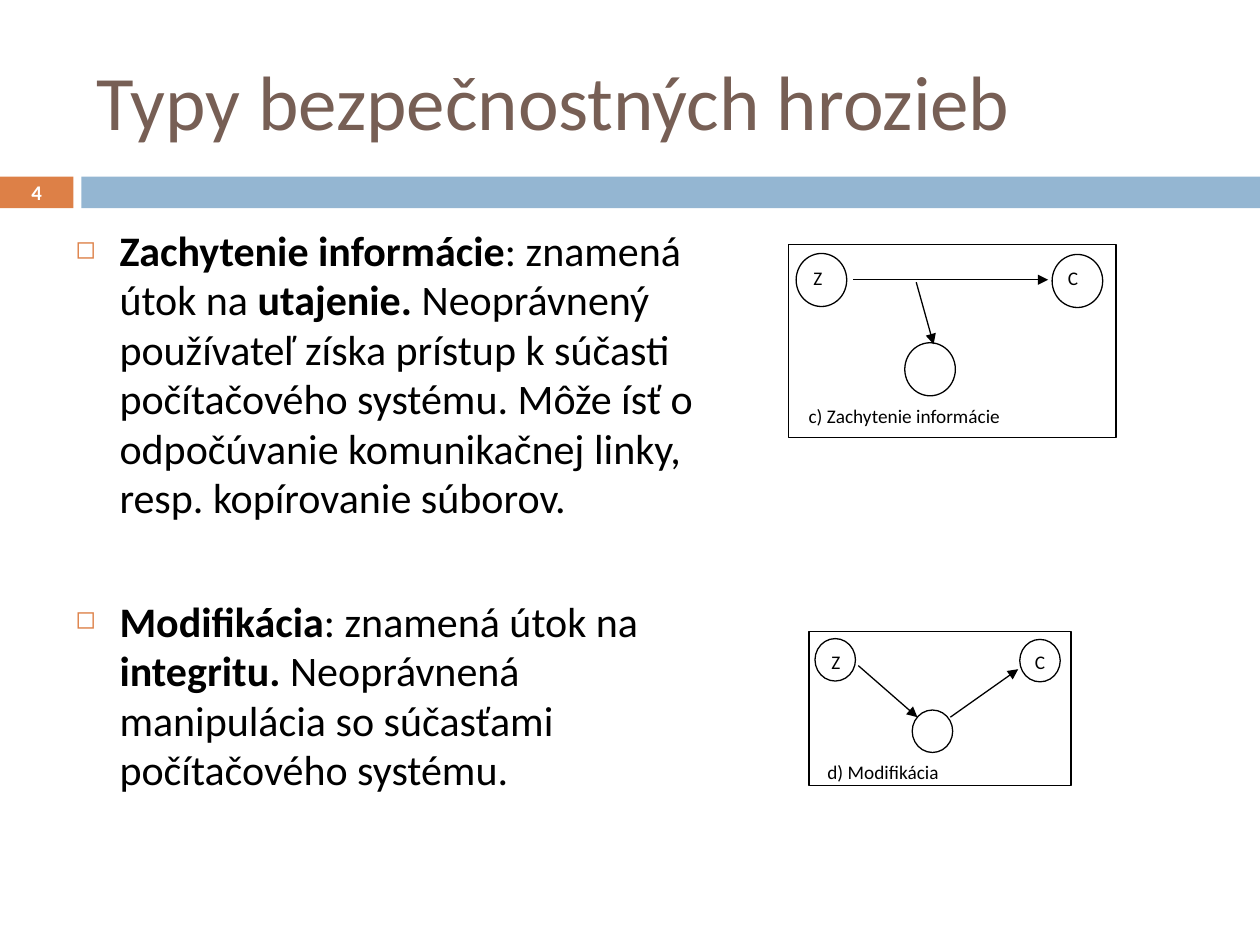
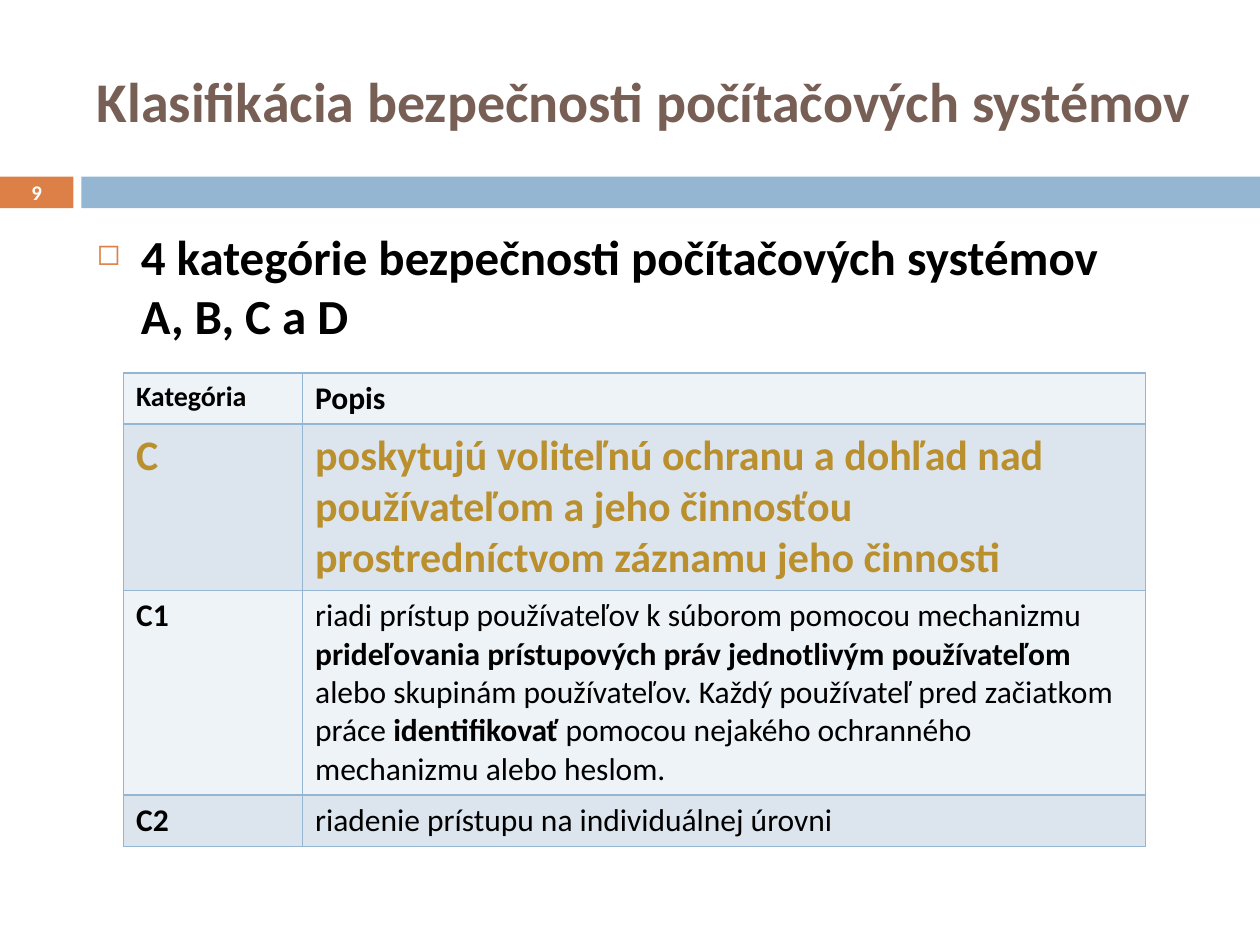
import pptx
import pptx.util
import pptx.dml.color
import pptx.enum.shapes
import pptx.enum.text
import pptx.oxml
import pptx.oxml.ns

Cm, Pt = pptx.util.Cm, pptx.util.Pt
SHAPE = pptx.enum.shapes.MSO_SHAPE
ANCHOR = pptx.enum.text.MSO_ANCHOR
ALIGN = pptx.enum.text.PP_ALIGN
FONT = "Calibri"
COLORS = {
    "title": "775F55", "accent": "DD8047", "band": "94B6D2", "text": "000000",
    "paper": "FFFFFF", "row_light": "EEF3F7", "row_dark": "DCE5EE", "gold": "BA8F2D",
}
PAGE_WIDTH, PAGE_HEIGHT = 25.4, 19.05
TITLE_BOX = (1.7, 0.64, 22.66, 2.74)
BAND_TOP, BAND_HEIGHT = 3.56, 0.64
BODY_TOP = 4.45


def rgb(name):
    return pptx.dml.color.RGBColor.from_string(COLORS[name])


def lengths(values):
    return [Cm(value) for value in values]


def set_values(target, values):
    for name, value in values.items():
        setattr(target, name, value)


def add_xml(parent, xml):
    namespace = pptx.oxml.ns.nsdecls("a")
    parent.append(pptx.oxml.parse_xml(xml.replace(" ", f" {namespace} ", 1)))


def write_spans(para, spans, size, color="text"):
    """Write (text, bold) spans; a newline becomes a line break."""
    for text, bold in spans:
        for number, line in enumerate(text.split("\n")):
            if number:
                para.add_line_break()
            span = para.add_run()
            span.text = line
            set_values(span.font, {"name": FONT, "size": Pt(size), "bold": bold})
            span.font.color.rgb = rgb(color)


def add_text(page, box, text, size):
    frame = page.shapes.add_textbox(*lengths(box)).text_frame
    frame.word_wrap = True
    write_spans(frame.paragraphs[0], [(text, False)], size)


def add_figure(page, kind, box, fill, line=None):
    figure = page.shapes.add_shape(kind, *lengths(box))
    figure.shadow.inherit = False
    figure.fill.solid()
    figure.fill.fore_color.rgb = rgb(fill)
    if line:
        figure.line.color.rgb = rgb(line)
        figure.line.width = Pt(0.75)
    else:
        figure.line.fill.background()
    return figure


def add_arrow(page, ends):
    arrow = page.shapes.add_connector(
        pptx.enum.shapes.MSO_CONNECTOR.STRAIGHT, *lengths(ends))
    arrow.line.color.rgb = rgb("text")
    arrow.line.width = Pt(0.75)
    add_xml(arrow.line._get_or_add_ln(), '<a:tailEnd type="triangle"/>')
    add_xml(arrow._element.spPr, "<a:effectLst />")


# Frame shared by the slides: title, bands and page number
def add_page(deck, title, size, bold, number):
    page = deck.slides.add_slide(deck.slide_layouts[5])
    number_box = add_figure(
        page, SHAPE.RECTANGLE, (0, BAND_TOP, 1.48, BAND_HEIGHT), "accent")
    add_figure(page, SHAPE.RECTANGLE,
               (1.64, BAND_TOP, PAGE_WIDTH - 1.64, BAND_HEIGHT), "band")
    frame = number_box.text_frame
    set_values(frame, {"margin_top": 0, "margin_bottom": 0,
                       "vertical_anchor": ANCHOR.MIDDLE})
    frame.paragraphs[0].alignment = ALIGN.CENTER
    write_spans(frame.paragraphs[0], [(str(number), True)], 11.9, "paper")

    heading = page.shapes.title
    set_values(heading, dict(zip(("left", "top", "width", "height"), lengths(TITLE_BOX))))
    set_values(heading.text_frame, {"word_wrap": True, "vertical_anchor": ANCHOR.MIDDLE})
    heading.text_frame.paragraphs[0].alignment = ALIGN.LEFT
    write_spans(heading.text_frame.paragraphs[0], [(title, bold)], size, "title")
    return page


# Bulleted body text
def add_bullets(page, box, items, size, gap=0, line_spacing=1.0):
    frame = page.shapes.add_textbox(*lengths(box)).text_frame
    frame.word_wrap = True
    for index, spans in enumerate(items):
        para = frame.add_paragraph() if index else frame.paragraphs[0]
        set_values(para, {"space_before": Pt(gap if index else 0),
                          "line_spacing": line_spacing})
        props = para._p.get_or_add_pPr()
        props.set("marL", str(Cm(0.89)))
        props.set("indent", str(-Cm(0.89)))
        add_xml(props, f'<a:buClr ><a:srgbClr val="{COLORS["accent"]}"/></a:buClr>')
        add_xml(props, '<a:buSzPct val="60000"/>')
        add_xml(props, '<a:buChar char="◻"/>')
        write_spans(para, spans, size)


# Diagram of source Z, target C and an attacker below, drawn at any scale
def add_attack_diagram(page, left, top, scale, caption, attacker_left, arrows):
    def place(x, y, width, height):
        return left + x * scale, top + y * scale, width * scale, height * scale

    add_figure(page, SHAPE.RECTANGLE, place(0, 0, 6.6, 3.89), "paper", "text")
    add_text(page, place(0.15, 3.1, 6.32, 1.04), caption, 11)
    for x, y in ((0.15, 0.18), (5.31, 0.2), (attacker_left, 1.98)):
        add_figure(page, SHAPE.OVAL, place(x, y, 1.02, 1.07), "paper", "text")
    for letter, x in (("Z", 0.25), ("C", 5.38)):
        add_text(page, place(x, 0.32, 1.19, 0.86), letter, 11)
    for x1, y1, x2, y2 in arrows:
        add_arrow(page, place(x1, y1, 0, 0)[:2] + place(x2, y2, 0, 0)[:2])


# Table of categories
def add_category_table(page, box, widths, heights, rows):
    shape = page.shapes.add_table(len(rows), len(widths), *lengths(box))
    table = shape.table
    set_values(table, {"first_row": False, "horz_banding": False})
    for column, width in zip(table.columns, widths):
        column.width = Cm(width)
    for index, (cells, sizes, color) in enumerate(rows):
        table.rows[index].height = Cm(heights[index])
        for column, (spans, size) in enumerate(zip(cells, sizes)):
            cell = table.cell(index, column)
            props = cell._tc.get_or_add_tcPr()
            for side in "LRTB":
                add_xml(props, f'<a:ln{side} w="{Pt(1)}"><a:solidFill>'
                               f'<a:srgbClr val="{COLORS["band"]}"/>'
                               f'</a:solidFill></a:ln{side}>')
            cell.fill.solid()
            cell.fill.fore_color.rgb = rgb("row_dark" if index % 2 else "row_light")
            write_spans(cell.text_frame.paragraphs[0], spans, size, color)


def build_threats(deck):
    page = add_page(deck, "Typy bezpečnostných hrozieb", 44, False, 4)
    add_bullets(page, (1.27, BODY_TOP, 13.64, 12.57), [
        [("Zachytenie informácie", True), (": znamená útok na ", False),
         ("utajenie.", True),
         (" Neoprávnený používateľ získa prístup k súčasti počítačového systému. "
          "Môže ísť o odpočúvanie komunikačnej linky, resp. kopírovanie súborov.", False)],
        [("Modifikácia", True), (": znamená útok na ", False), ("integritu. ", True),
         ("Neoprávnená manipulácia so súčasťami počítačového systému.", False)],
    ], 24, gap=42.5, line_spacing=0.98)
    add_attack_diagram(page, 15.9, 4.93, 1, "c) Zachytenie informácie", 2.34,
                       [(1.3, 0.71, 5.23, 0.71), (2.57, 0.76, 2.92, 2.01)])
    add_attack_diagram(page, 16.31, 12.73, 0.8, "d) Modifikácia", 2.6,
                       [(1.24, 0.86, 2.73, 2.16), (3.56, 2.16, 5.27, 0.95)])


def build_classification(deck):
    page = add_page(deck, "Klasifikácia bezpečnosti počítačových systémov", 32, True, 9)
    add_bullets(page, (1.7, BODY_TOP, 22.66, 12.5), [
        [("4 kategórie bezpečnosti počítačových systémov \nA, B, C a D", True)],
    ], 28)
    rows = [
        ([[("Kategória", True)], [("Popis", True)]], (16, 18), "text"),
        ([[("C", True)],
          [("poskytujú voliteľnú ochranu a dohľad nad používateľom a jeho činnosťou "
            "prostredníctvom záznamu jeho činnosti", True)]], (24, 24), "gold"),
        ([[("C1", True)],
          [("riadi prístup používateľov k súborom pomocou mechanizmu ", False),
           ("prideľovania prístupových práv jednotlivým používateľom ", True),
           ("alebo skupinám používateľov. Každý používateľ pred začiatkom práce ", False),
           ("identifikovať ", True),
           ("pomocou nejakého ochranného mechanizmu alebo heslom.", False)]],
         (18, 18), "text"),
        ([[("C2", True)], [("riadenie prístupu na individuálnej úrovni", False)]],
         (18, 18), "text"),
    ]
    add_category_table(page, (2.49, 7.52, 20.6, 9.53), (3.61, 16.99),
                       (1.03, 3.35, 4.13, 1.03), rows)


def main():
    deck = pptx.Presentation()
    set_values(deck, {"slide_width": Cm(PAGE_WIDTH), "slide_height": Cm(PAGE_HEIGHT)})
    build_threats(deck)
    build_classification(deck)
    deck.save("out.pptx")


if __name__ == "__main__":
    main()
